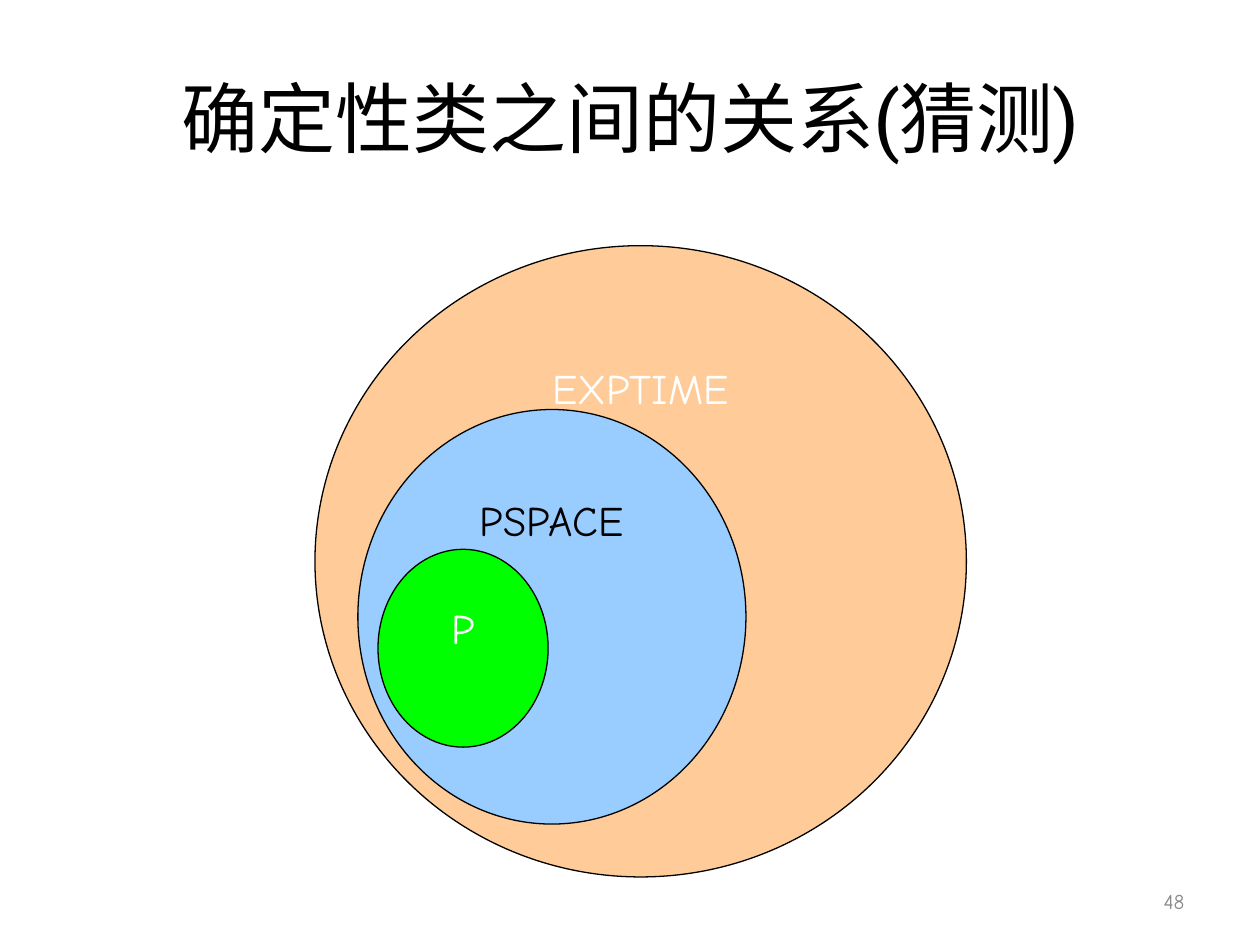
"""Builds a slide of nested deterministic complexity classes."""
from pptx import Presentation
from pptx.dml.color import RGBColor
from pptx.enum.shapes import MSO_SHAPE as Shape
from pptx.enum.text import MSO_ANCHOR as Anchor, PP_ALIGN as Align
from pptx.util import Inches, Pt

BLACK = RGBColor(0x00, 0x00, 0x00)
WHITE = RGBColor(0xFF, 0xFF, 0xFF)
GRAY = RGBColor(0x89, 0x89, 0x89)
ORANGE = RGBColor(0xFF, 0xCC, 0x99)
BLUE = RGBColor(0x99, 0xCC, 0xFF)
GREEN = RGBColor(0x00, 0xFF, 0x00)

HEADING_FONT, BODY_FONT = "Roboto Slab", "Comic Neue"
LABEL_INSET = 0.19

TEXTS = [
    ("确定性类之间的关系(猜测)", (0.5, 0.3, 9, 1.25), Align.CENTER,
     {"name": HEADING_FONT, "size": Pt(44)}, BLACK),
    ("48", (7.17, 6.95, 2.33, 0.4), Align.RIGHT,
     {"name": BODY_FONT, "size": Pt(12)}, GRAY),
]
CLASSES = [
    ("EXPTIME", (2.5, 1.95, 5.17, 5.01), ORANGE, WHITE),
    ("PSPACE", (2.84, 3.25, 3.08, 3.29), BLUE, BLACK),
    ("P", (3, 4.36, 1.35, 1.57), GREEN, WHITE),
]
LABEL_FORMAT = {"name": BODY_FONT, "size": Pt(24)}


def write(shape, text, align, anchor, font_format, color):
    frame = shape.text_frame
    frame.word_wrap = True
    frame.vertical_anchor = anchor
    para = frame.paragraphs[0]
    para.alignment = align
    span = para.add_run()
    span.text = text
    for key, value in font_format.items():
        setattr(span.font, key, value)
    span.font.color.rgb = color


def add_class(page, name, place, fill, color):
    oval = page.shapes.add_shape(Shape.OVAL, *map(Inches, place))
    oval.shadow.inherit = False
    oval.fill.solid()
    oval.fill.fore_color.rgb = fill
    oval.line.color.rgb = BLACK
    oval.line.width = Pt(0.75)
    oval.text_frame.margin_top = Inches(LABEL_INSET)
    write(oval, name, Align.CENTER, Anchor.TOP, LABEL_FORMAT, color)


def main():
    deck = Presentation()
    deck.slide_width, deck.slide_height = Inches(10), Inches(7.5)
    page = deck.slides.add_slide(deck.slide_layouts[6])
    for text, place, align, font_format, color in TEXTS:
        box = page.shapes.add_textbox(*map(Inches, place))
        write(box, text, align, Anchor.MIDDLE, font_format, color)
    for item in CLASSES:
        add_class(page, *item)
    deck.save("out.pptx")


if __name__ == "__main__":
    main()
